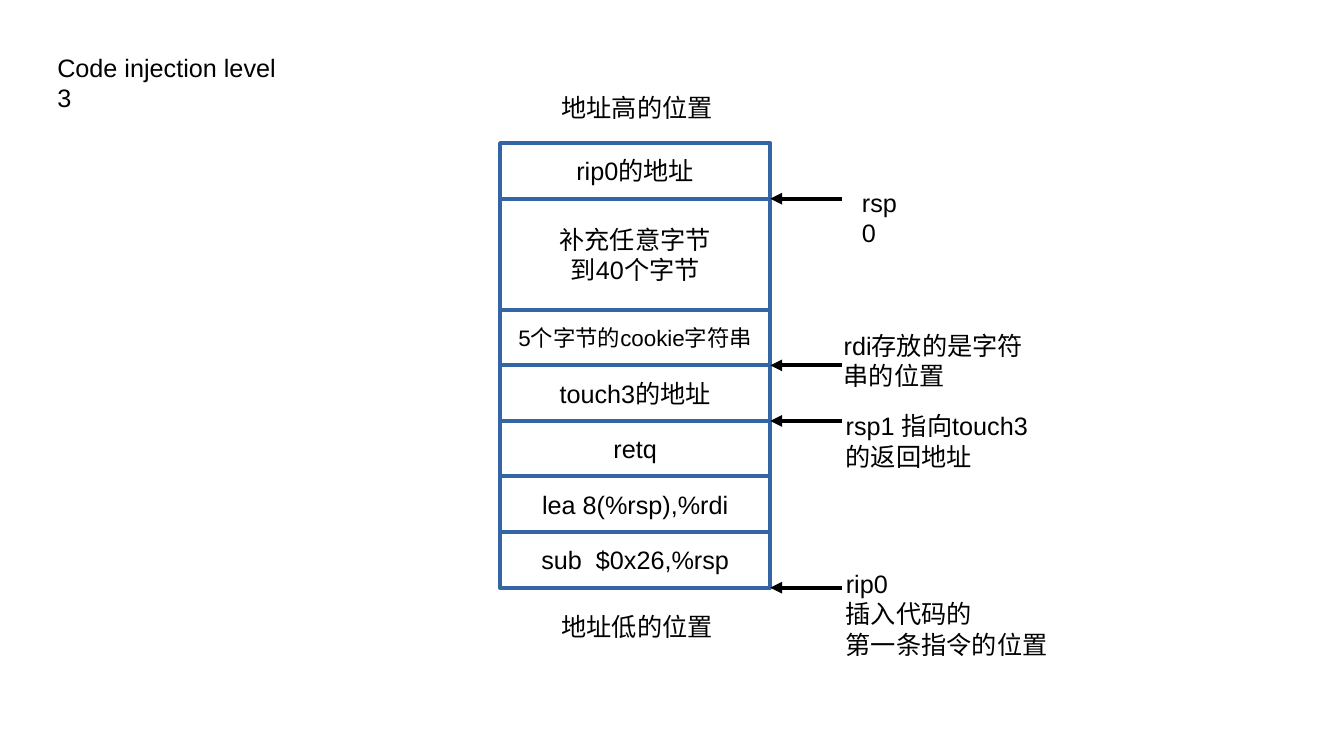
"""Build the stack layout slide for code injection level 3."""
from dataclasses import dataclass

from lxml import etree
from pptx import Presentation
from pptx import util as u
from pptx.dml import color
from pptx.enum import shapes, text
from pptx.oxml import ns


@dataclass(frozen=True)
class Theme:
    font: str = "Arial"
    ink: str = "000000"
    cell_fill: str = "FFFFFF"
    cell_border: str = "3465A4"
    body: int = 18
    small: int = 16
    line_width: float = 2.83


@dataclass(frozen=True)
class Grid:
    left: float = 4.96
    top: float = 1.42
    bottom: float = 5.83
    column: float = 2.68
    rows: int = 8
    arrow: float = 0.71

    @property
    def row(self) -> float:
        return (self.bottom - self.top) / self.rows

    @property
    def right(self) -> float:
        return self.left + self.column

    def edge(self, row: int) -> float:
        return self.top + row * self.row


@dataclass(frozen=True)
class Cell:
    lines: tuple[str, ...]
    rows: int = 1
    size: int = Theme.body


@dataclass(frozen=True)
class Label:
    lines: tuple[str, ...]
    left: float
    top: float
    width: float
    height: float


@dataclass(frozen=True)
class Pointer:
    row: int
    lines: tuple[str, ...]
    shift: float
    rise: float
    width: float
    height: float


THEME = Theme()
GRID = Grid()

CELLS = (
    Cell(("rip0的地址",)),
    Cell(("补充任意字节", "到40个字节"), rows=2),
    Cell(("5个字节的cookie字符串",), size=THEME.small),
    Cell(("touch3的地址",)),
    Cell(("retq",)),
    Cell(("lea 8(%rsp),%rdi",)),
    Cell(("sub  $0x26,%rsp",)),
)
LABELS = (
    Label(("Code injection level 3",), 0.47, 0.47, 2.57, 0.33),
    Label(("地址高的位置",), 5.47, 0.87, 1.71, 0.43),
    Label(("地址低的位置",), 5.47, 6.02, 1.71, 0.43),
)
POINTERS = (
    Pointer(1, ("rsp0",), 0.1, 0.16, 0.68, 0.33),
    Pointer(4, ("rdi存放的是字符串的位置",), -0.08, 0.4, 2.2, 0.57),
    Pointer(5, ("rsp1 指向touch3", "的返回地址"), -0.06, 0.15, 2.97, 0.66),
    Pointer(8, ("rip0", "插入代码的", "第一条指令的位置"), -0.06, 0.24, 2.21, 0.99),
)


def write_lines(frame, lines: tuple[str, ...], size: int, align) -> None:
    for index, line in enumerate(lines):
        paragraph = frame.paragraphs[0] if index == 0 else frame.add_paragraph()
        paragraph.alignment = align
        run = paragraph.add_run()
        run.text = line
        run.font.name = THEME.font
        run.font.size = u.Pt(size)
        run.font.color.rgb = color.RGBColor.from_string(THEME.ink)


def draw_cell(slide, cell: Cell, row: int) -> None:
    shape = slide.shapes.add_shape(
        shapes.MSO_SHAPE.RECTANGLE, u.Inches(GRID.left), u.Inches(GRID.edge(row)),
        u.Inches(GRID.column), u.Inches(cell.rows * GRID.row))
    shape.shadow.inherit = False
    shape.fill.solid()
    shape.fill.fore_color.rgb = color.RGBColor.from_string(THEME.cell_fill)
    shape.line.color.rgb = color.RGBColor.from_string(THEME.cell_border)
    shape.line.width = u.Pt(THEME.line_width)
    shape.text_frame.word_wrap = False
    shape.text_frame.vertical_anchor = text.MSO_ANCHOR.MIDDLE
    write_lines(shape.text_frame, cell.lines, cell.size, text.PP_ALIGN.CENTER)


def draw_label(slide, label: Label) -> None:
    shape = slide.shapes.add_textbox(
        u.Inches(label.left), u.Inches(label.top),
        u.Inches(label.width), u.Inches(label.height))
    shape.text_frame.word_wrap = True
    write_lines(shape.text_frame, label.lines, THEME.body, text.PP_ALIGN.LEFT)


def draw_pointer(slide, pointer: Pointer) -> None:
    level = GRID.edge(pointer.row)
    start = GRID.right + GRID.arrow
    connector = slide.shapes.add_connector(
        shapes.MSO_CONNECTOR.STRAIGHT, u.Inches(start), u.Inches(level),
        u.Inches(GRID.right), u.Inches(level))
    connector.line.color.rgb = color.RGBColor.from_string(THEME.ink)
    connector.line.width = u.Pt(THEME.line_width)
    properties = connector.element.spPr
    outline = properties.find(ns.qn("a:ln"))
    etree.SubElement(outline, ns.qn("a:tailEnd"), type="triangle")
    etree.SubElement(properties, ns.qn("a:effectLst"))
    draw_label(slide, Label(pointer.lines, start + pointer.shift,
                            level - pointer.rise, pointer.width, pointer.height))


def main() -> None:
    presentation = Presentation()
    presentation.slide_width = u.Inches(13.33)
    presentation.slide_height = u.Inches(7.5)
    slide = presentation.slides.add_slide(presentation.slide_layouts[6])
    row = 0
    for cell in CELLS:
        draw_cell(slide, cell, row)
        row += cell.rows
    for label in LABELS:
        draw_label(slide, label)
    for pointer in POINTERS:
        draw_pointer(slide, pointer)
    presentation.save("out.pptx")


if __name__ == "__main__":
    main()
